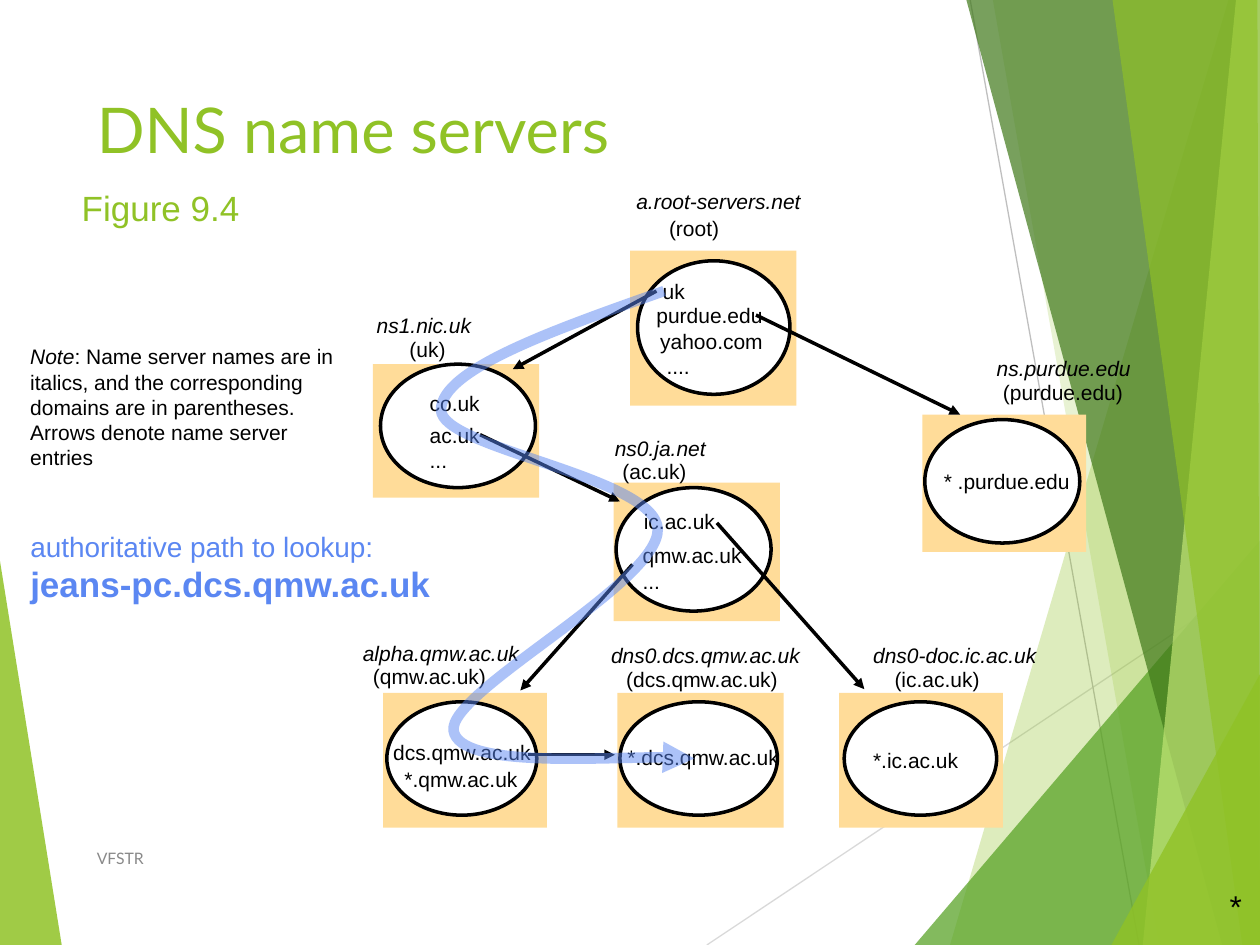
from lxml import etree
from pptx import Presentation
from pptx.dml.color import RGBColor
from pptx.enum.shapes import MSO_CONNECTOR, MSO_SHAPE
from pptx.enum.text import MSO_ANCHOR, MSO_AUTO_SIZE
from pptx.oxml.ns import qn
from pptx.util import Inches, Pt

STRAIGHT = MSO_CONNECTOR.STRAIGHT
RECT, OVAL = MSO_SHAPE.RECTANGLE, MSO_SHAPE.OVAL
TOP, MIDDLE = MSO_ANCHOR.TOP, MSO_ANCHOR.MIDDLE
GROW, FIXED = MSO_AUTO_SIZE.SHAPE_TO_FIT_TEXT, MSO_AUTO_SIZE.NONE
GREEN, BLUE, BLACK = "90C226", "5B87F2", "000000"

prs = Presentation()
prs.slide_width, prs.slide_height = Inches(10), Inches(7.5)
CELL = prs.slide_width / 10
LABEL_SLACK = 0.08
slide = prs.slides.add_slide(prs.slide_layouts[6])
shapes = slide.shapes


def paint(fill, color):
    fill.solid()
    fill.fore_color.rgb = RGBColor.from_string(color)


def write(place, paragraphs, color=BLACK, inset=(0, 0), wrap=False, size_mode=GROW,
          anchor=TOP, **font_format):
    frame = shapes.add_textbox(*[round(v * CELL) for v in place]).text_frame
    side, edge = [round(v * CELL) for v in inset]
    frame_format = {"word_wrap": wrap, "auto_size": size_mode, "vertical_anchor": anchor,
                    "margin_left": side, "margin_right": side,
                    "margin_top": edge, "margin_bottom": edge}
    for key, value in frame_format.items():
        setattr(frame, key, value)
    for i, runs in enumerate(paragraphs):
        paragraph = frame.add_paragraph() if i else frame.paragraphs[0]
        for text, own_format in runs:
            run = paragraph.add_run()
            run.text = text
            for key, value in {"name": "Arial", "size": Pt(12), **font_format, **own_format}.items():
                setattr(run.font, key, value)
            paint(run.font.fill, color)


translucent = []

left_facet = [[(-0.01, 4.39), (0.49, 7.5), (-0.01, 7.5)], GREEN, 85]
right_facets = [
    [[(9.75, 0), (7.54, 7.5), (10, 7.5), (10, 0)], GREEN, 30],
    [[(7.88, 0), (9.2, 7.5), (10, 7.5), (10, 0)], GREEN, 20],
    [[(7.26, 7.5), (10, 4.29), (10, 7.5)], "54A021", 72],
    [[(7.67, 0), (9.7, 7.5), (10, 7.5), (10, 0)], "3F7819", 70],
    [[(9.81, 0), (9.07, 7.5), (10, 7.5), (10, 0)], "C0E474", 70],
    [[(8.83, 0), (9.86, 7.5), (10, 7.5), (9.98, 0)], GREEN, 65],
    [[(8.82, 7.5), (10, 5.35), (10, 7.5)], GREEN, 80],
]
hairlines = [((5.61, 7.5), (10, 4.57), "D9D9D9", 0.75, False),
             ((7.7, 0), (9.04, 7.5), "BFBFBF", 0.75, False)]
entry_arrows = [(start, end, BLACK, 2, True) for start, end in [
    ((6, 2.5), (7.62, 3.29)), ((5.69, 4.15), (6.86, 5.47)), ((4.19, 5.99), (4.88, 5.99)),
    ((5.21, 2.31), (4.07, 2.93)), ((3.81, 3.45), (4.92, 3.98)), ((5.02, 4.48), (4.13, 5.48))]]

servers = [
    {"box": (5, 1.99, 1.32, 1.23), "zone": (5.06, 2.07, 1.21, 1.06),
     "name": (5.05, 1.5, 1.31, "a.root-servers.net"), "domain": (5.31, 1.71, 0.4, "(root)"),
     "entries": [(5.26, 2.21, 0.18, "uk"), (5.21, 2.4, 0.84, "purdue.edu"),
                 (5.24, 2.61, 0.82, "yahoo.com"), (5.29, 2.81, 0.2, "....")]},
    {"box": (2.96, 2.89, 1.32, 1.06), "zone": (3.02, 2.89, 1.23, 0.98),
     "name": (2.99, 2.48, 0.75, "ns1.nic.uk"), "domain": (3.25, 2.67, 0.29, "(uk)"),
     "entries": [(3.41, 3.1, 0.4, "co.uk"), (3.41, 3.35, 0.4, "ac.uk"), (3.41, 3.55, 0.14, "...")]},
    {"box": (7.32, 3.29, 1.3, 1.09), "zone": (7.34, 3.33, 1.23, 0.98),
     "name": (7.91, 2.82, 1.07, "ns.purdue.edu"), "domain": (7.96, 3.01, 0.96, "(purdue.edu)"),
     "entries": [(7.49, 3.72, 1, "* .purdue.edu")]},
    {"box": (4.87, 3.83, 1.32, 1.1), "zone": (4.89, 3.87, 1.23, 0.98),
     "name": (4.88, 3.46, 0.72, "ns0.ja.net"), "domain": (4.94, 3.64, 0.51, "(ac.uk)"),
     "entries": [(5.11, 4.04, 0.57, "ic.ac.uk"), (5.1, 4.31, 0.8, "qmw.ac.uk"),
                 (5.1, 4.51, 0.14, "...")]},
    {"box": (3.04, 5.5, 1.3, 1.07), "zone": (3.07, 5.57, 1.19, 0.9),
     "name": (2.88, 5.08, 1.25, "alpha.qmw.ac.uk"), "domain": (2.96, 5.27, 0.91, "(qmw.ac.uk)"),
     "entries": [(3.12, 5.87, 1.1, "dcs.qmw.ac.uk"), (3.21, 6.08, 0.91, "*.qmw.ac.uk")]},
    {"box": (4.9, 5.5, 1.32, 1.07), "zone": (4.92, 5.57, 1.25, 0.9),
     "name": (4.85, 5.1, 1.51, "dns0.dcs.qmw.ac.uk"), "domain": (4.97, 5.29, 1.21, "(dcs.qmw.ac.uk)"),
     "entries": [(4.98, 5.91, 1.21, "*.dcs.qmw.ac.uk")]},
    {"box": (6.66, 5.5, 1.3, 1.07), "zone": (6.7, 5.57, 1.21, 0.9),
     "name": (6.93, 5.1, 1.3, "dns0-doc.ic.ac.uk"), "domain": (7.1, 5.29, 0.68, "(ic.ac.uk)"),
     "entries": [(6.93, 5.93, 0.68, "*.ic.ac.uk")]},
]

for layer in ([left_facet], hairlines, right_facets, servers, entry_arrows):
    for item in layer:
        if layer is servers:
            for kind, key, color in ((RECT, "box", "FFDC99"), (OVAL, "zone", "FFFFFF")):
                part = shapes.add_shape(kind, *[round(v * CELL) for v in item[key]])
                part.shadow.inherit = False
                paint(part.fill, color)
                if kind == OVAL:
                    paint(part.line.fill, BLACK)
                    part.line.width = Pt(2)
                else:
                    part.line.fill.background()
            for x, y, width, text in [item["name"], item["domain"], *item["entries"]]:
                write((x, y, width + LABEL_SLACK, 0.2),
                      [[(text, {"italic": text == item["name"][3]})]])
        elif len(item) == 3:
            corners, color, opacity = item
            points = [(round(x * CELL), round(y * CELL)) for x, y in corners]
            outline = shapes.build_freeform(*points[0])
            outline.add_line_segments(points[1:], close=True)
            facet = outline.convert_to_shape()
            facet.shadow.inherit = False
            paint(facet.fill, color)
            facet.line.fill.background()
            translucent.append((facet, opacity))
        else:
            start, end, color, weight, pointed = item
            link = shapes.add_connector(STRAIGHT, *[round(v * CELL) for v in start + end])
            paint(link.line.fill, color)
            link.line.width = Pt(weight)
            if pointed:
                etree.SubElement(link.line._get_or_add_ln(), qn("a:tailEnd"), type="triangle")
            etree.SubElement(link._element.spPr, qn("a:effectLst"))

lookup_points = [(round(x * CELL), round(y * CELL)) for x, y in [
    (5.27, 2.31), (4.39, 2.62), (3.51, 2.93), (3.5, 3.25), (3.49, 3.56), (5.2, 3.78), (5.22, 4.2),
    (5.23, 4.63), (3.55, 5.49), (3.6, 5.8), (3.65, 6.1), (5.2, 5.98), (5.51, 6.02)]]
outline = shapes.build_freeform(*lookup_points[0])
outline.add_line_segments(lookup_points[1:], close=False)
lookup = outline.convert_to_shape()
route = next(lookup._element.iter(qn("a:path")))
steps = route.findall(qn("a:lnTo"))
for i in range(0, len(steps), 3):
    bend = etree.SubElement(route, qn("a:cubicBezTo"))
    for step in steps[i:i + 3]:
        bend.append(step[0])
        route.remove(step)
lookup.shadow.inherit = False
lookup.fill.background()
paint(lookup.line.fill, BLUE)
lookup.line.width = Pt(6)
etree.SubElement(lookup.line._get_or_add_ln(), qn("a:tailEnd"), type="triangle")
translucent.append((lookup, 50))

for shape, opacity in translucent:
    for tint in shape._element.iter(qn("a:srgbClr")):
        etree.SubElement(tint, qn("a:alpha"), val=str(opacity * 1000))

PADDED = (0.1, 0.05)
write((0.67, 0.67, 6.94, 1.44), [[("DNS name servers", {})]], GREEN, PADDED, True, FIXED,
      name="Lato", size=Pt(36))
write((0.55, 1.43, 1.45, 0.44), [[("Figure 9.4", {})]], GREEN, PADDED, size=Pt(20))
write((0.24, 2.73, 2.5, 1), [
    [("Note", {"italic": True}),
     (": Name server names are in italics, and the corresponding domains are in parentheses.", {})],
    [("Arrows denote name server entries", {})]], wrap=True)
write((0.24, 4.2, 3.19, 0.6), [
    [("authoritative path to lookup:", {"size": Pt(16)})],
    [("jeans-pc.dcs.qmw.ac.uk", {"size": Pt(20), "bold": True})]], BLUE)
write((9.66, 6.99, 0.29, 0.4), [[("*", {})]], inset=PADDED, size=Pt(18))
write((0.67, 6.61, 5.06, 0.4), [[("VFSTR", {})]], "898989", PADDED, True, FIXED, MIDDLE,
      name="Lato", size=Pt(9))

prs.save("out.pptx")
